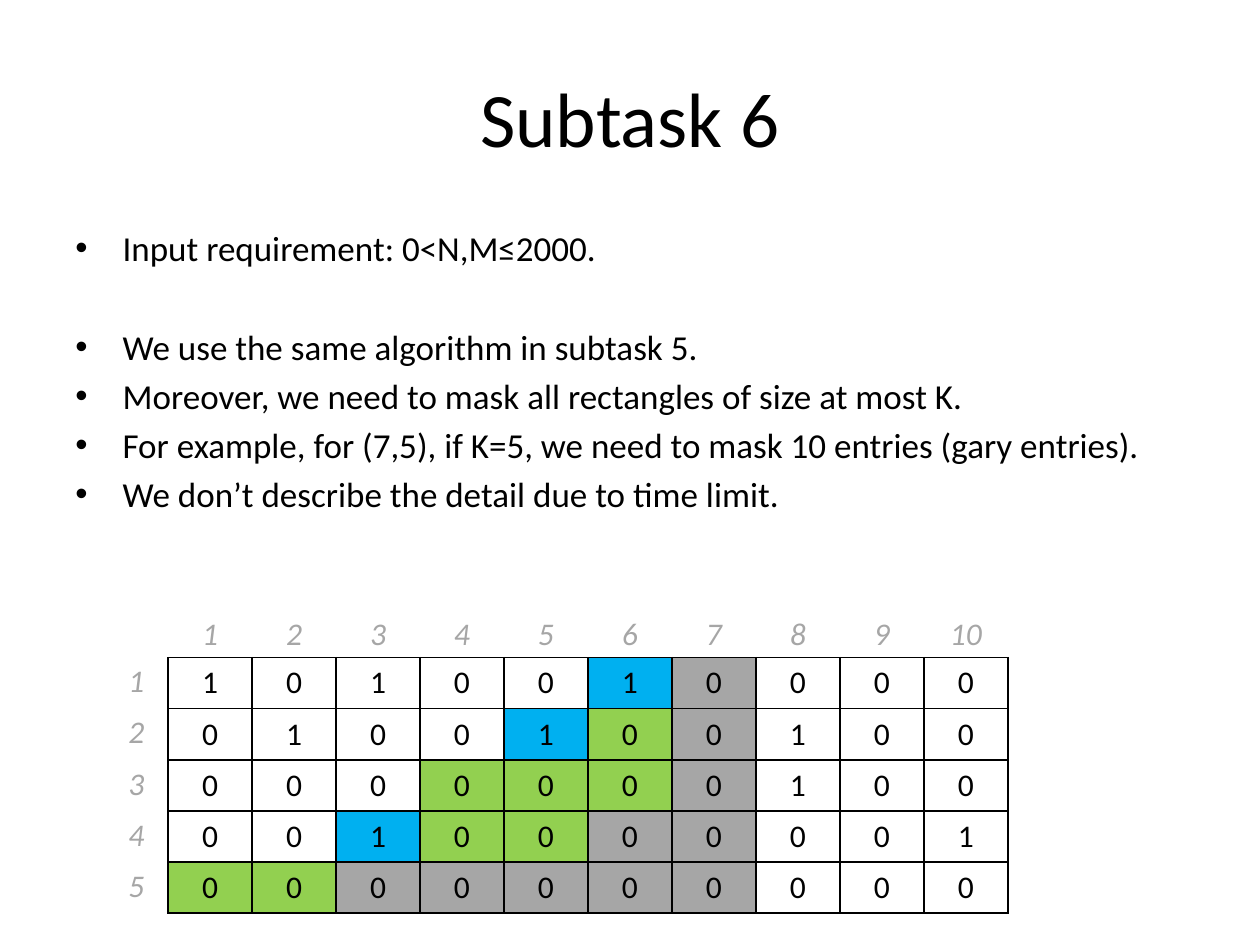
from lxml import etree
from pptx import Presentation
from pptx.dml.color import RGBColor
from pptx.enum import text
from pptx.oxml.ns import qn
from pptx.util import Pt

FONT = "Calibri"
BLACK = RGBColor(0x00, 0x00, 0x00)
GRAY = RGBColor(0xA6, 0xA6, 0xA6)
BLUE = RGBColor(0x00, 0xB0, 0xF0)
GREEN = RGBColor(0x92, 0xD0, 0x50)

NO_STYLE = "{2D5ABB26-0587-4C30-8999-92F81FD0307C}"
COLUMN_WIDTH, ROW_HEIGHT = 48, 29.2
GRID_LEFT, GRID_TOP = 96, 375.8

# Text and space before, in points
BULLETS = [
    ("Input requirement: 0<N,M≤2000.", 0),
    ("We use the same algorithm in subtask 5.", 32.4),
    ("Moreover, we need to mask all rectangles of size at most K.", 4),
    ("For example, for (7,5), if K=5, we need to mask 10 entries (gary entries).", 4),
    ("We don’t describe the detail due to time limit.", 4),
]

ENTRIES = ["1010010000", "0100100100", "0000000100", "0010000001", "0000000000"]
# B blue, G green, M masked
FILLS = [".....BM...", "....BGM...", "...GGGM...", "..BGGMM...", "GGMMMMM..."]
FILL_COLORS = {"B": BLUE, "G": GREEN, "M": GRAY}


def add_run(paragraph, wording, size, color=BLACK, italic=False):
    run = paragraph.add_run()
    run.text = wording
    run.font.name = FONT
    run.font.size = Pt(size)
    run.font.italic = italic
    run.font.color.rgb = color


def set_title(slide, wording):
    title = slide.shapes.title
    title.left, title.top, title.width, title.height = Pt(36), Pt(21.6), Pt(648), Pt(90)
    title.text_frame.vertical_anchor = text.MSO_ANCHOR.MIDDLE
    paragraph = title.text_frame.paragraphs[0]
    paragraph.alignment = text.PP_ALIGN.CENTER
    add_run(paragraph, wording, 44)


def add_bullet(paragraph):
    properties = paragraph._p.get_or_add_pPr()
    properties.set("marL", str(Pt(27)))
    properties.set("indent", str(-Pt(27)))
    etree.SubElement(properties, qn("a:buFont"), typeface="Arial")
    etree.SubElement(properties, qn("a:buChar"), char="•")


def add_bullet_list(slide, bullets):
    box = slide.shapes.add_textbox(Pt(36), Pt(126), Pt(648), Pt(356.4))
    frame = box.text_frame
    frame.word_wrap = True
    for index, (wording, space_before) in enumerate(bullets):
        paragraph = frame.add_paragraph() if index else frame.paragraphs[0]
        add_bullet(paragraph)
        paragraph.space_before = Pt(space_before)
        add_run(paragraph, wording, 20)


def add_borders(cell):
    properties = cell._tc.get_or_add_tcPr()
    for side in ("a:lnL", "a:lnR", "a:lnT", "a:lnB"):
        line = etree.SubElement(properties, qn(side), w=str(Pt(1)))
        fill = etree.SubElement(line, qn("a:solidFill"))
        etree.SubElement(fill, qn("a:srgbClr"), val=str(BLACK))


def add_number_table(slide, left, top, column_width, rows, fills=None,
                     color=BLACK, italic=False, bordered=False):
    """Add a table of centred numbers; fills holds one colour key per cell."""
    row_count, column_count = len(rows), len(rows[0])
    table = slide.shapes.add_table(
        row_count, column_count, Pt(left), Pt(top),
        Pt(column_width * column_count), Pt(ROW_HEIGHT * row_count)).table
    table.first_row = table.horz_banding = False
    table._tbl.tblPr.find(qn("a:tableStyleId")).text = NO_STYLE
    for column in table.columns:
        column.width = Pt(column_width)
    for row_index, row in enumerate(rows):
        table.rows[row_index].height = Pt(ROW_HEIGHT)
        for column_index, number in enumerate(row):
            cell = table.cell(row_index, column_index)
            cell.margin_left = cell.margin_right = Pt(5)
            cell.margin_top = cell.margin_bottom = Pt(3.6)
            if bordered:
                add_borders(cell)
            key = fills[row_index][column_index] if fills else None
            if key in FILL_COLORS:
                cell.fill.solid()
                cell.fill.fore_color.rgb = FILL_COLORS[key]
            else:
                cell.fill.background()
            paragraph = cell.text_frame.paragraphs[0]
            paragraph.alignment = text.PP_ALIGN.CENTER
            add_run(paragraph, number, 18, color, italic)


def main():
    presentation = Presentation()
    presentation.slide_width, presentation.slide_height = Pt(720), Pt(540)
    slide = presentation.slides.add_slide(presentation.slide_layouts[5])
    set_title(slide, "Subtask 6")
    add_bullet_list(slide, BULLETS)

    add_number_table(slide, GRID_LEFT, GRID_TOP, COLUMN_WIDTH, ENTRIES, FILLS, bordered=True)
    row_labels = [[str(number)] for number in range(1, len(ENTRIES) + 1)]
    column_labels = [[str(number) for number in range(1, len(ENTRIES[0]) + 1)]]
    add_number_table(slide, 66, 375.2, 24, row_labels, color=GRAY, italic=True)
    add_number_table(slide, GRID_LEFT, 348.2, COLUMN_WIDTH, column_labels,
                     color=GRAY, italic=True)
    presentation.save("out.pptx")


if __name__ == "__main__":
    main()
